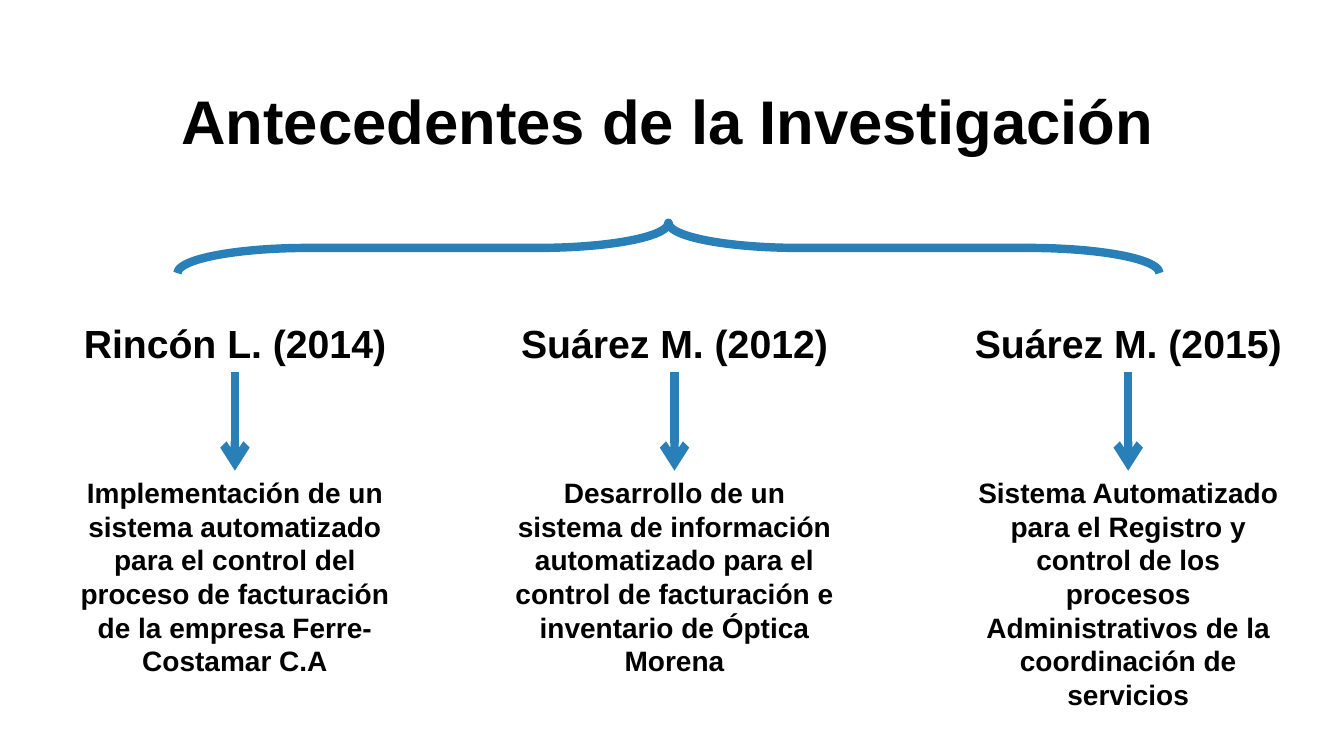
from dataclasses import dataclass

from lxml import etree
from pptx import Presentation
from pptx import util as u
from pptx.dml.color import RGBColor
from pptx.enum import shapes, text
from pptx.oxml.ns import qn

EMU_PER_PX = 9144  # 100 px to the inch


@dataclass(frozen=True)
class Theme:
    font: str = "Arial"
    ink: RGBColor = RGBColor(0, 0, 0)
    accent: RGBColor = RGBColor(0x29, 0x80, 0xB9)
    title_size: int = 44
    author_size: int = 28
    study_size: int = 20
    stroke: int = 6


@dataclass(frozen=True)
class Antecedent:
    left: int
    width: int
    study_height: int
    author: str
    study: str


THEME = Theme()
AUTHOR_TOP, AUTHOR_HEIGHT, STUDY_TOP = 312, 57, 467

ANTECEDENTS = [
    Antecedent(69, 328, 212, "Rincón L. (2014)",
               "Implementación de un sistema automatizado para el control del "
               "proceso de facturación de la empresa Ferre-Costamar C.A"),
    Antecedent(494, 350, 212, "Suárez M. (2012)",
               "Desarrollo de un sistema de información automatizado para el "
               "control de facturación e inventario de Óptica Morena"),
    Antecedent(955, 328, 246, "Suárez M. (2015)",
               "Sistema Automatizado para el Registro y control de los procesos "
               "Administrativos de la coordinación de servicios"),
]


def px(length: int) -> u.Emu:
    return u.Emu(length * EMU_PER_PX)


def write(frame, words: str, size: int) -> None:
    """Put one centred bold run into a text frame."""
    frame.word_wrap = True
    frame.auto_size = text.MSO_AUTO_SIZE.SHAPE_TO_FIT_TEXT
    frame.vertical_anchor = text.MSO_ANCHOR.TOP
    paragraph = frame.paragraphs[0]
    paragraph.alignment = text.PP_ALIGN.CENTER
    run = paragraph.add_run()
    run.text = words
    run.font.name = THEME.font
    run.font.size = u.Pt(size)
    run.font.bold = True
    run.font.color.rgb = THEME.ink


def add_label(slide, left: int, top: int, width: int, height: int,
              words: str, size: int):
    label = slide.shapes.add_textbox(px(left), px(top), px(width), px(height))
    write(label.text_frame, words, size)
    return label


def stroke(line) -> None:
    line.color.rgb = THEME.accent
    line.width = u.Pt(THEME.stroke)


def add_arrow(slide, author, study) -> None:
    """Join the bottom of an author to the top of the study."""
    arrow = slide.shapes.add_connector(shapes.MSO_CONNECTOR.STRAIGHT, 0, 0, 0, 0)
    arrow.begin_connect(author, 2)
    arrow.end_connect(study, 0)
    stroke(arrow.line)
    etree.SubElement(arrow.line._get_or_add_ln(), qn("a:tailEnd"), type="arrow")
    etree.SubElement(arrow._element.spPr, qn("a:effectLst"))


def add_brace(slide) -> None:
    brace = slide.shapes.add_shape(shapes.MSO_SHAPE.LEFT_BRACE,
                                   px(638), px(-241), px(50), px(974))
    brace.rotation = 90
    brace.adjustments[0] = 2.6
    brace.adjustments[1] = 0.5
    brace.shadow.inherit = False
    brace.fill.background()
    stroke(brace.line)


def add_antecedent(slide, item: Antecedent) -> None:
    author = add_label(slide, item.left, AUTHOR_TOP, item.width, AUTHOR_HEIGHT,
                       item.author, THEME.author_size)
    study = add_label(slide, item.left, STUDY_TOP, item.width, item.study_height,
                      item.study, THEME.study_size)
    add_arrow(slide, author, study)


def main() -> None:
    deck = Presentation()
    deck.slide_width, deck.slide_height = px(1333), px(750)
    slide = deck.slides.add_slide(deck.slide_layouts[5])

    # Title
    title = slide.shapes.title
    title.left, title.top, title.width, title.height = map(px, (158, 77, 1009, 84))
    write(title.text_frame, "Antecedentes de la Investigación", THEME.title_size)

    # Brace over the three studies
    add_brace(slide)
    for item in ANTECEDENTS:
        add_antecedent(slide, item)

    deck.save("out.pptx")


if __name__ == "__main__":
    main()
